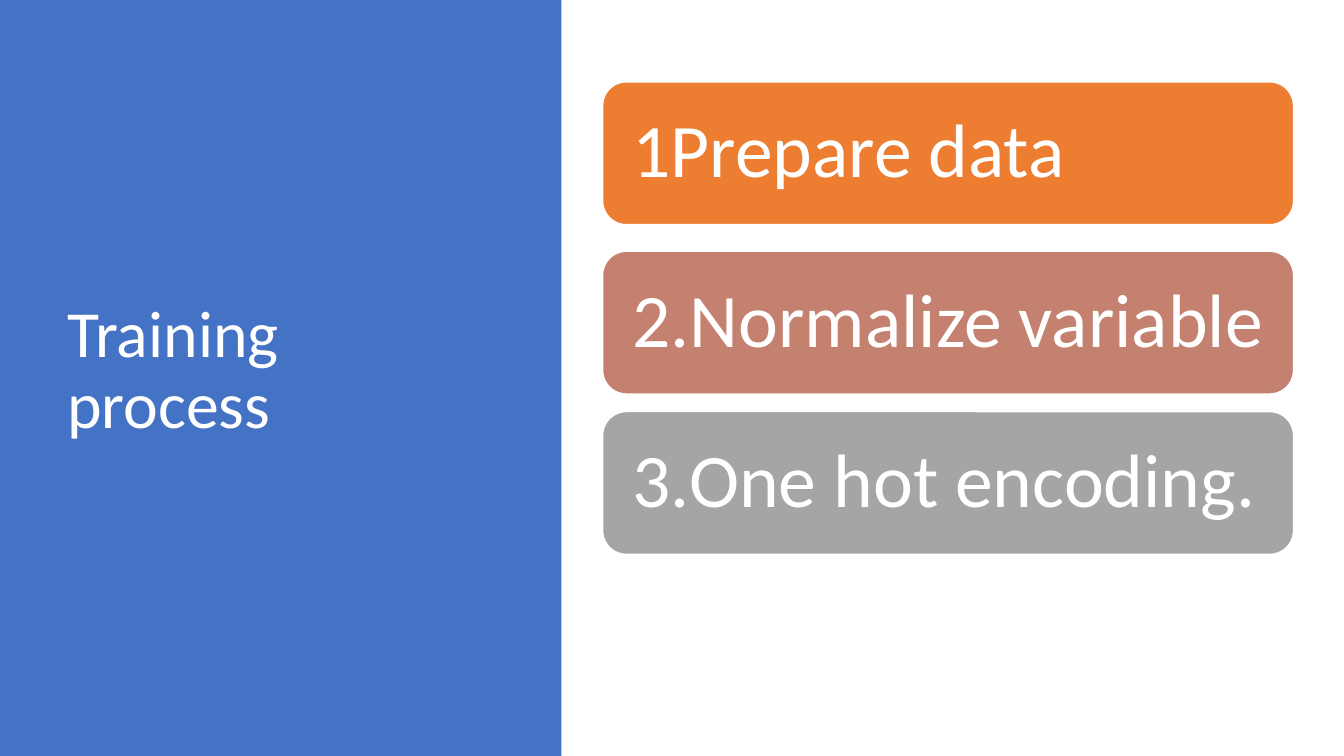
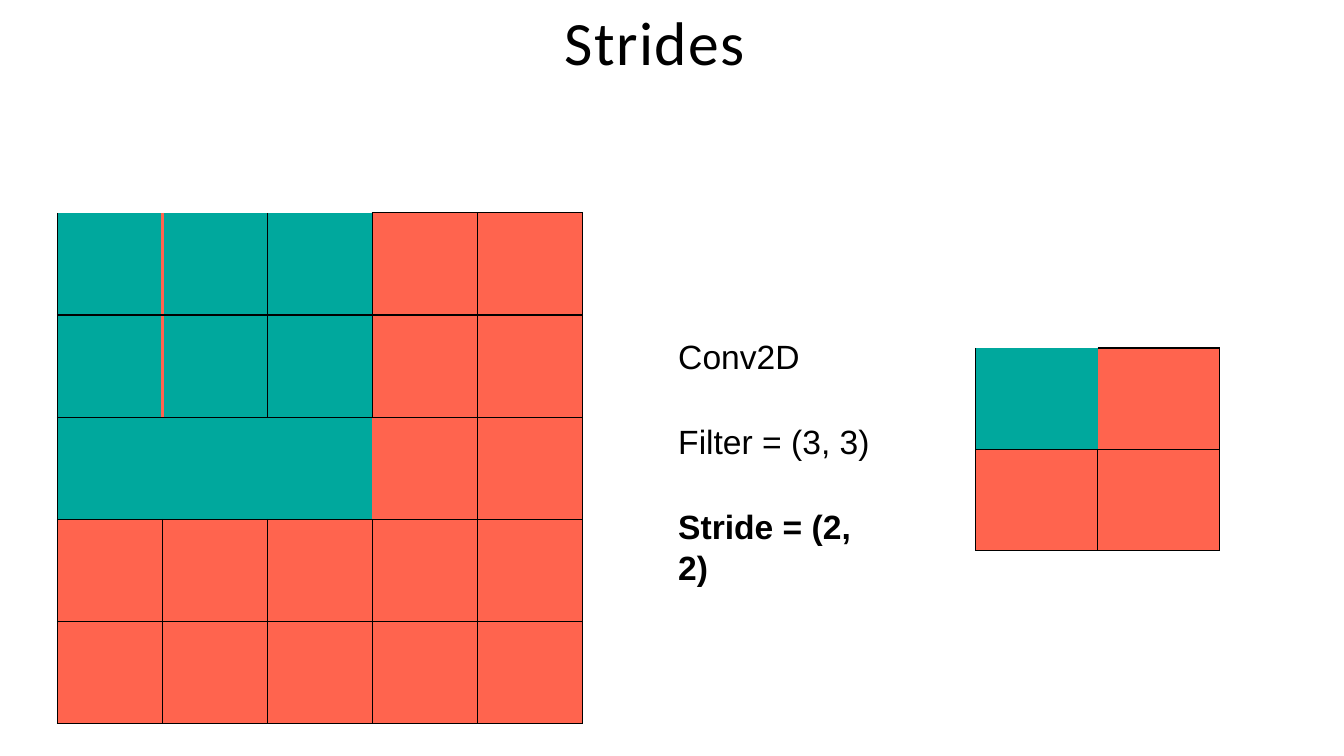
from lxml.etree import SubElement
from pptx import Presentation
from pptx.dml.color import RGBColor
from pptx.enum.shapes import MSO_SHAPE as Shape
from pptx.enum.text import MSO_ANCHOR as Anchor, PP_ALIGN as Align
from pptx.oxml.ns import qn
from pptx.util import Pt

COLOURS = {
    "white": "FFFFFF", "black": "000000", "blue": "4472C4",
    "orange": "ED7D31", "clay": "C48170", "grey": "A5A5A5",
    "teal": "00A89D", "coral": "FF644E",
}
TITLE_FONT, BODY_FONT = "Calibri", "Arial"

STEPS = [
    ("1Prepare data", "orange", 58.5),
    ("2.Normalize variable", "clay", 179.5),
    ("3.One hot encoding.", "grey", 294),
]
SETTINGS = [("Conv2D", False), ("Filter = (3, 3)", False), ("Stride = (2, 2)", True)]

THIN, DIVIDER = ("black", 1), ("coral", 2.25)
GRIDS = [
    {
        "at": (41, 152), "cell": (75, 73), "merge": ((2, 0), (2, 2)),
        "cells": ["TTTCC", "TTTCC", "TTTCC", "CCCCC", "CCCCC"],
        "verticals": {(0, 1): DIVIDER, (1, 1): DIVIDER,
                      (2, 1): None, (2, 2): None, (2, 3): None},
    },
    {
        "at": (697, 248.5), "cell": (87, 72.5), "merge": None,
        "cells": ["TC", "CC"],
        "verticals": {(0, 1): None},
    },
]
CELL_FILLS = {"T": "teal", "C": "coral"}


def colour(name):
    return RGBColor.from_string(COLOURS[name])


def paint(fill, name):
    fill.solid()
    fill.fore_color.rgb = colour(name)


def style(para, size, ink, font, bold=False):
    para.alignment = Align.LEFT
    for span in para.runs:
        span.font.size, span.font.name, span.font.bold = Pt(size), font, bold
        span.font.color.rgb = colour(ink)


def set_frame(frame, anchor, margins):
    frame.word_wrap = True
    frame.vertical_anchor = anchor
    frame.margin_left, frame.margin_top, frame.margin_right, frame.margin_bottom = map(Pt, margins)


def add_block(page, preset, area, fill):
    block = page.shapes.add_shape(preset, *map(Pt, area))
    block.shadow.inherit = False
    paint(block.fill, fill)
    block.line.fill.background()
    return block


def add_title(page, text, area, size, ink, margins, line_spacing=1.0, tracking=0):
    box = page.shapes.add_textbox(*map(Pt, area))
    set_frame(box.text_frame, Anchor.MIDDLE, margins)
    para = box.text_frame.paragraphs[0]
    para.text = text
    para.line_spacing = line_spacing
    style(para, size, ink, TITLE_FONT)
    if tracking:
        para.runs[0]._r.get_or_add_rPr().set("spc", str(tracking * 100))


def add_step(page, text, fill, top):
    card = add_block(page, Shape.ROUNDED_RECTANGLE, (430.5, top, 493.5, 102), fill)
    paint(card.line.fill, "white")
    card.line.width = Pt(1)
    set_frame(card.text_frame, Anchor.MIDDLE, (16.5,) * 4)
    para = card.text_frame.paragraphs[0]
    para.text = text
    para.line_spacing = 0.9
    style(para, 54, "white", TITLE_FONT)


def set_border(cell, side, border):
    line = SubElement(cell._tc.get_or_add_tcPr(), qn(f"a:ln{side}"))
    if border is None:
        line.set("w", "0")
        SubElement(line, qn("a:noFill"))
        return
    name, width = border
    line.set("w", str(Pt(width)))
    SubElement(SubElement(line, qn("a:solidFill")), qn("a:srgbClr")).set("val", COLOURS[name])


def add_grid(page, grid):
    cells = grid["cells"]
    rows, columns = len(cells), len(cells[0])
    width, height = grid["cell"]
    area = (*grid["at"], width * columns, height * rows)
    table = page.shapes.add_table(rows, columns, *map(Pt, area)).table
    table.first_row = table.horz_banding = False
    for column in table.columns:
        column.width = Pt(width)
    for row in table.rows:
        row.height = Pt(height)
    if grid["merge"]:
        first, last = grid["merge"]
        table.cell(*first).merge(table.cell(*last))
    for row, letters in enumerate(cells):
        for column, letter in enumerate(letters):
            cell = table.cell(row, column)
            borders = {
                "L": grid["verticals"].get((row, column), THIN),
                "R": grid["verticals"].get((row, column + 1), THIN),
                "T": None if row == 0 and letter == "T" else THIN,
                "B": THIN,
            }
            for side, border in borders.items():
                set_border(cell, side, border)
            paint(cell.fill, CELL_FILLS[letter])


def add_settings(page):
    box = page.shapes.add_textbox(Pt(484.5), Pt(239), Pt(150), Pt(149))
    frame = box.text_frame
    set_frame(frame, Anchor.TOP, (0, 1, 0, 0))
    frame.text = "\n".join(text for text, bold in SETTINGS)
    for index, (para, (text, bold)) in enumerate(zip(frame.paragraphs, SETTINGS)):
        para.space_before = Pt(32 if index else 0)
        style(para, 24, "black", BODY_FONT, bold)


def build_training(page):
    add_block(page, Shape.RECTANGLE, (0, 0, 401, 540), "blue")
    add_title(page, "Training process", (41, 49, 300, 433), 47, "white",
              (7.2, 3.6, 7.2, 3.6), line_spacing=0.9)
    for step in STEPS:
        add_step(page, *step)


def build_strides(page):
    add_title(page, "Strides", (402.5, 2, 155, 54), 44, "black", (1, 1, 0, 0), tracking=1)
    add_settings(page)
    for grid in GRIDS:
        add_grid(page, grid)


def main():
    deck = Presentation()
    deck.slide_width, deck.slide_height = Pt(960), Pt(540)
    for build in (build_training, build_strides):
        build(deck.slides.add_slide(deck.slide_layouts[6]))
    deck.save("out.pptx")


if __name__ == "__main__":
    main()
